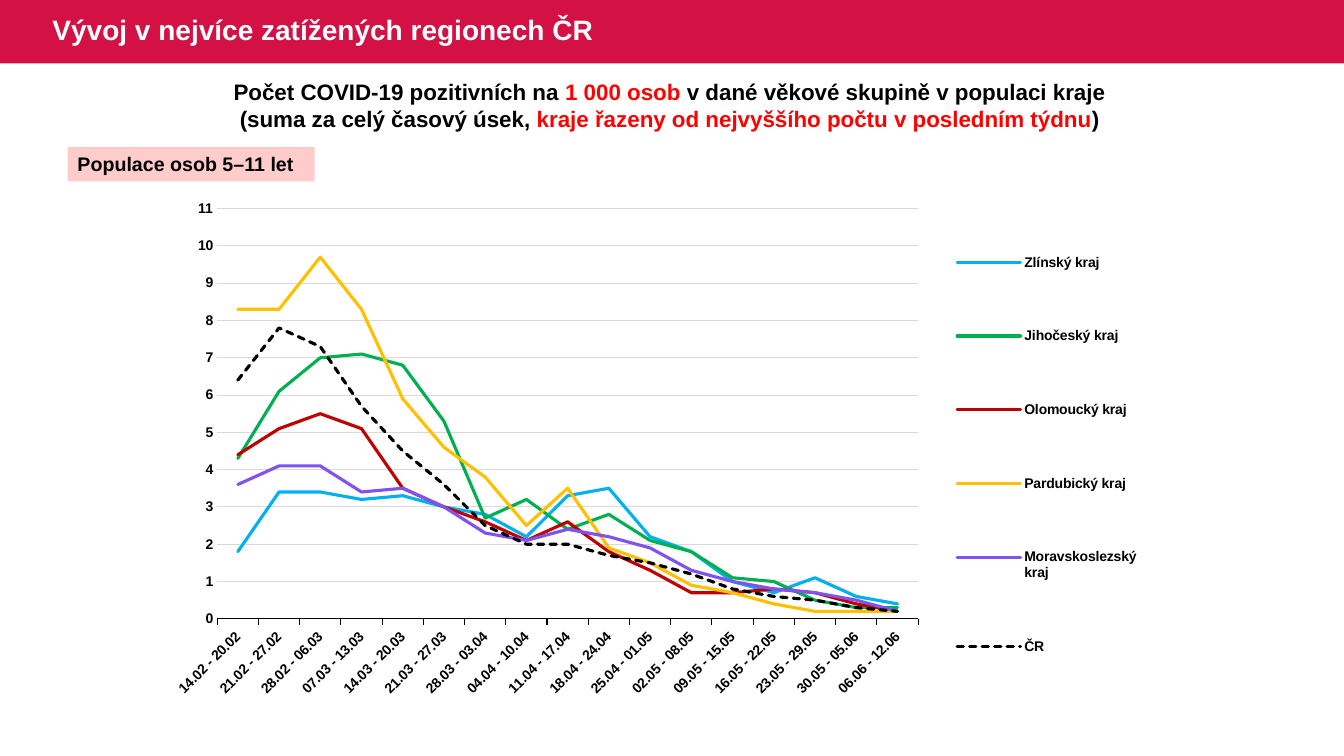
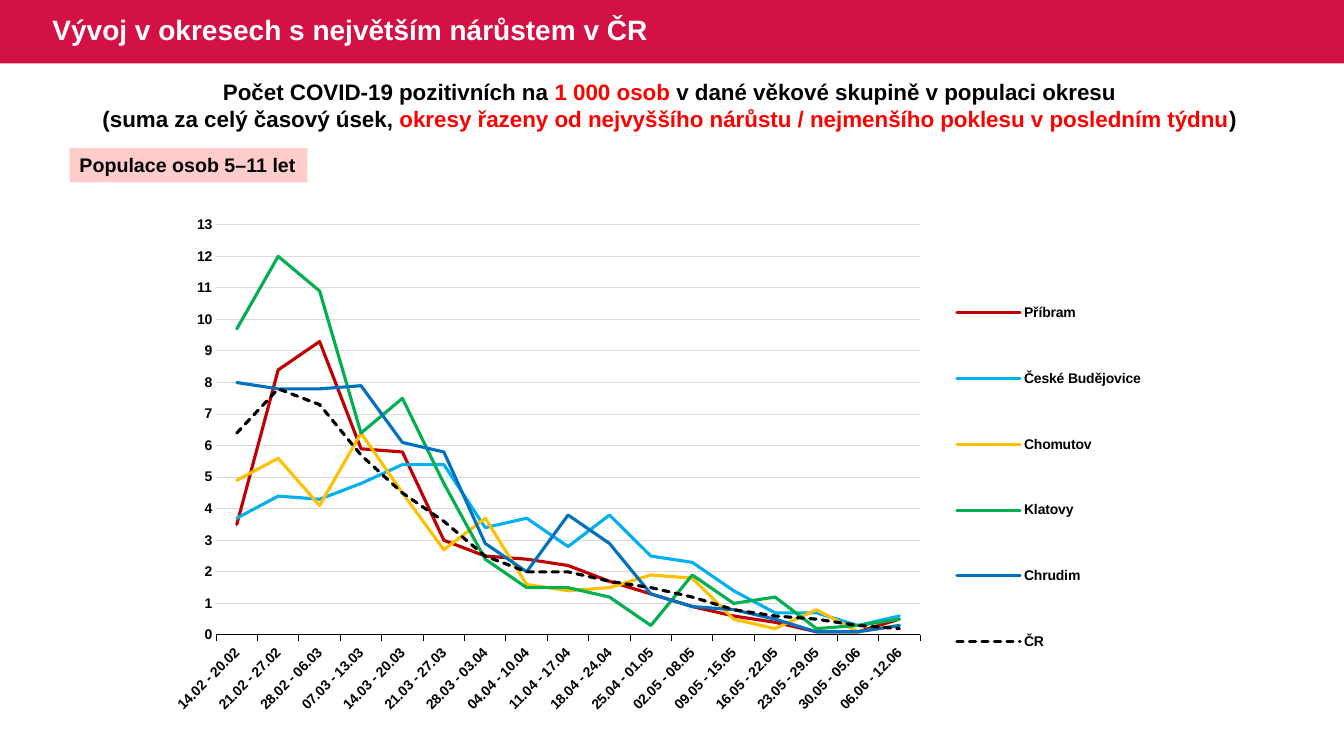
"""Builds two slides on COVID-19 cases per 1 000 people in the most affected areas."""
from dataclasses import dataclass

from lxml import etree
from pptx import Presentation
from pptx.chart.data import CategoryChartData
from pptx.dml.color import RGBColor
from pptx.enum.chart import XL_CHART_TYPE, XL_LEGEND_POSITION, XL_MARKER_STYLE, XL_TICK_MARK
from pptx.enum.dml import MSO_LINE
from pptx.enum.shapes import MSO_SHAPE
from pptx.enum.text import MSO_ANCHOR, PP_ALIGN
from pptx.oxml.ns import qn
from pptx.util import Inches, Pt

LINE_CHART = XL_CHART_TYPE.LINE
LEGEND_RIGHT = XL_LEGEND_POSITION.RIGHT
NO_MARKER = XL_MARKER_STYLE.NONE
TICK_OUT, TICK_NONE = XL_TICK_MARK.OUTSIDE, XL_TICK_MARK.NONE
SHORT_DASH = MSO_LINE.SQUARE_DOT
RECTANGLE = MSO_SHAPE.RECTANGLE
MIDDLE, TOP = MSO_ANCHOR.MIDDLE, MSO_ANCHOR.TOP
LEFT, CENTER = PP_ALIGN.LEFT, PP_ALIGN.CENTER


@dataclass(frozen=True)
class Theme:
    """Colours, font and type sizes of the deck."""
    font: str = "Arial"
    band: str = "D31145"
    white: str = "FFFFFF"
    black: str = "000000"
    accent: str = "FF0000"
    label: str = "FFCCCC"
    grid: str = "D9D9D9"
    sky: str = "00B0F0"
    green: str = "00B050"
    crimson: str = "C00000"
    amber: str = "FFC000"
    violet: str = "8053F0"
    blue: str = "0070C0"
    title_size: float = 20
    heading_size: float = 16
    label_size: float = 14
    chart_size: float = 10
    trend_width: float = 2.25
    axis_width: float = 0.75


THEME = Theme()


@dataclass(frozen=True)
class Box:
    """A rectangle in inches."""
    x: float
    y: float
    w: float
    h: float

    def lengths(self) -> tuple:
        """Return the four values as lengths."""
        return tuple(Inches(v) for v in (self.x, self.y, self.w, self.h))


@dataclass(frozen=True)
class Trend:
    """One line of a chart."""
    name: str
    color: str
    values: tuple
    dashed: bool = False


@dataclass(frozen=True)
class Page:
    """The content that differs between the slides; plot and legend are placed in the chart."""
    title: str
    area: str
    ordering: str
    label_box: Box
    chart_box: Box
    plot_box: Box
    legend_box: Box
    maximum: int
    trends: tuple


BAND_BOX = Box(0, 0, 13.33, 0.63)
TITLE_BOX = Box(0.42, 0, 12.33, 0.63)
HEADING_BOX = Box(0.23, 0.73, 12.82, 0.64)
AGE_GROUP = "Populace osob 5–11 let"
WEEKS = (
    "14.02 - 20.02", "21.02 - 27.02", "28.02 - 06.03", "07.03 - 13.03", "14.03 - 20.03",
    "21.03 - 27.03", "28.03 - 03.04", "04.04 - 10.04", "11.04 - 17.04", "18.04 - 24.04",
    "25.04 - 01.05", "02.05 - 08.05", "09.05 - 15.05", "16.05 - 22.05", "23.05 - 29.05",
    "30.05 - 05.06", "06.06 - 12.06",
)
COUNTRY = Trend("ČR", THEME.black, (
    6.4, 7.8, 7.3, 5.7, 4.5, 3.6, 2.5, 2, 2, 1.7, 1.5, 1.2, 0.8, 0.6, 0.5, 0.3, 0.2), True)

PAGES = (
    Page(
        "Vývoj v nejvíce zatížených regionech ČR", "kraje",
        "kraje řazeny od nejvyššího počtu v posledním týdnu",
        Box(0.67, 1.46, 2.45, 0.34), Box(1.74, 1.88, 9.67, 5.36),
        Box(0.39, 0.19, 6.97, 4.07), Box(7.65, 0.07, 1.98, 5.12), 11,
        (
            Trend("Zlínský kraj", THEME.sky, (
                1.8, 3.4, 3.4, 3.2, 3.3, 3, 2.8, 2.2, 3.3, 3.5, 2.2, 1.8, 1, 0.7, 1.1, 0.6, 0.4)),
            Trend("Jihočeský kraj", THEME.green, (
                4.3, 6.1, 7, 7.1, 6.8, 5.3, 2.7, 3.2, 2.4, 2.8, 2.1, 1.8, 1.1, 1, 0.5, 0.3, 0.3)),
            Trend("Olomoucký kraj", THEME.crimson, (
                4.4, 5.1, 5.5, 5.1, 3.5, 3, 2.6, 2.1, 2.6, 1.8, 1.3, 0.7, 0.7, 0.8, 0.7, 0.4, 0.2)),
            Trend("Pardubický kraj", THEME.amber, (
                8.3, 8.3, 9.7, 8.3, 5.9, 4.6, 3.8, 2.5, 3.5, 1.9, 1.5, 0.9, 0.7, 0.4, 0.2, 0.2, 0.2)),
            Trend("Moravskoslezský kraj", THEME.violet, (
                3.6, 4.1, 4.1, 3.4, 3.5, 3, 2.3, 2.1, 2.4, 2.2, 1.9, 1.3, 1, 0.8, 0.7, 0.5, 0.2)),
            COUNTRY,
        ),
    ),
    Page(
        "Vývoj v okresech s největším nárůstem v ČR", "okresu",
        "okresy řazeny od nejvyššího nárůstu / nejmenšího poklesu v posledním týdnu",
        Box(0.69, 1.47, 2.36, 0.34), Box(1.73, 2.04, 9.67, 5.36),
        Box(0.39, 0.19, 7, 4.07), Box(7.68, 0.49, 1.98, 4.41), 13,
        (
            Trend("Příbram", THEME.crimson, (
                3.5, 8.4, 9.3, 5.9, 5.8, 3, 2.5, 2.4, 2.2, 1.7, 1.3, 0.9, 0.6, 0.4, 0.1, 0.1, 0.5)),
            Trend("České Budějovice", THEME.sky, (
                3.7, 4.4, 4.3, 4.8, 5.4, 5.4, 3.4, 3.7, 2.8, 3.8, 2.5, 2.3, 1.4, 0.7, 0.7, 0.3, 0.6)),
            Trend("Chomutov", THEME.amber, (
                4.9, 5.6, 4.1, 6.4, 4.5, 2.7, 3.7, 1.6, 1.4, 1.5, 1.9, 1.8, 0.5, 0.2, 0.8, 0.1, 0.3)),
            Trend("Klatovy", THEME.green, (
                9.7, 12, 10.9, 6.4, 7.5, 4.8, 2.4, 1.5, 1.5, 1.2, 0.3, 1.9, 1, 1.2, 0.2, 0.3, 0.5)),
            Trend("Chrudim", THEME.blue, (
                8, 7.8, 7.8, 7.9, 6.1, 5.8, 2.9, 2, 3.8, 2.9, 1.3, 0.9, 0.8, 0.5, 0.1, 0.1, 0.3)),
            COUNTRY,
        ),
    ),
)


def rgb(color: str) -> RGBColor:
    """Turn a hex string into a colour."""
    return RGBColor.from_string(color)


def style_font(font, size: float, color: str) -> None:
    """Apply the deck's bold typeface."""
    font.name, font.size, font.bold = THEME.font, Pt(size), True
    font.color.rgb = rgb(color)


def write_text(frame, *lines, size: float, color: str = THEME.black, align=LEFT,
               anchor=TOP, spacing: float = 1.0) -> None:
    """Write lines, each a tuple of plain or (text, colour) pieces, into one paragraph."""
    frame.word_wrap = True
    frame.vertical_anchor = anchor
    paragraph = frame.paragraphs[0]
    paragraph.alignment, paragraph.line_spacing = align, spacing
    for number, line in enumerate(lines):
        if number:
            paragraph.add_line_break()
        for piece in line:
            text, tint = (piece, color) if isinstance(piece, str) else piece
            run = paragraph.add_run()
            run.text = text
            style_font(run.font, size, tint)


def add_block(slide, box: Box, color: str):
    """Add a flat filled rectangle."""
    block = slide.shapes.add_shape(RECTANGLE, *box.lengths())
    block.shadow.inherit = False
    block.fill.solid()
    block.fill.fore_color.rgb = rgb(color)
    block.line.fill.background()
    return block


def set_layout(parent, index: int, box: Box, chart_box: Box, inner: bool = False) -> None:
    """Fix the place of a chart part within its chart."""
    for old in parent.findall(qn("c:layout")):
        parent.remove(old)
    layout = etree.Element(qn("c:layout"))
    manual = etree.SubElement(layout, qn("c:manualLayout"))
    settings = [("layoutTarget", "inner")] if inner else []
    settings += [("xMode", "edge"), ("yMode", "edge")]
    settings += [("x", box.x / chart_box.w), ("y", box.y / chart_box.h)]
    settings += [("w", box.w / chart_box.w), ("h", box.h / chart_box.h)]
    for tag, value in settings:
        etree.SubElement(manual, qn(f"c:{tag}")).set("val", str(value))
    parent.insert(index, layout)


def add_trend_chart(slide, page: Page) -> None:
    """Add the weekly line chart with its legend."""
    data = CategoryChartData(number_format="0.0")
    data.categories = WEEKS
    for trend in page.trends:
        data.add_series(trend.name, trend.values)
    chart = slide.shapes.add_chart(LINE_CHART, *page.chart_box.lengths(), data).chart
    chart.has_title = False
    style_font(chart.font, THEME.chart_size, THEME.black)
    chart.plots[0].vary_by_categories = False

    for series, trend in zip(chart.plots[0].series, page.trends):
        series.smooth = False
        series.marker.style = NO_MARKER
        series.format.line.width = Pt(THEME.trend_width)
        series.format.line.color.rgb = rgb(trend.color)
        if trend.dashed:
            series.format.line.dash_style = SHORT_DASH
    for outline in chart.element.iterfind(f".//{qn('c:ser')}/{qn('c:spPr')}/{qn('a:ln')}"):
        outline.set("cap", "rnd")
        etree.SubElement(outline, qn("a:round"))

    weeks, counts = chart.category_axis, chart.value_axis
    for axis, tick in ((weeks, TICK_OUT), (counts, TICK_NONE)):
        axis.major_tick_mark, axis.minor_tick_mark = tick, TICK_NONE
        style_font(axis.tick_labels.font, THEME.chart_size, THEME.black)
    weeks.has_major_gridlines = False
    weeks.format.line.color.rgb = rgb(THEME.black)
    weeks.format.line.width = Pt(THEME.axis_width)
    chart.element.find(f".//{qn('c:catAx')}//{qn('a:bodyPr')}").set("rot", "-2700000")

    counts.minimum_scale, counts.maximum_scale, counts.major_unit = 0, page.maximum, 1
    counts.tick_labels.number_format = "0"
    counts.tick_labels.number_format_is_linked = False
    counts.format.line.fill.background()
    counts.has_major_gridlines = True
    counts.major_gridlines.format.line.color.rgb = rgb(THEME.grid)
    counts.major_gridlines.format.line.width = Pt(THEME.axis_width)

    chart.has_legend = True
    chart.legend.position = LEGEND_RIGHT
    chart.legend.include_in_layout = False
    style_font(chart.legend.font, THEME.chart_size, THEME.black)
    plot_area = chart.element.find(f".//{qn('c:plotArea')}")
    legend = chart.element.find(f".//{qn('c:legend')}")
    set_layout(plot_area, 0, page.plot_box, page.chart_box, inner=True)
    set_layout(legend, 1, page.legend_box, page.chart_box)


def add_page(deck, layout, page: Page):
    """Add one slide with title, heading, age label and chart."""
    slide = deck.slides.add_slide(layout)
    title = slide.shapes.title
    title.left, title.top, title.width, title.height = TITLE_BOX.lengths()
    write_text(title.text_frame, (page.title,), size=THEME.title_size, color=THEME.white,
               anchor=MIDDLE, spacing=0.9)

    heading = slide.shapes.add_textbox(*HEADING_BOX.lengths())
    write_text(
        heading.text_frame,
        ("Počet COVID-19 pozitivních na ", ("1 000 osob ", THEME.accent),
         f"v dané věkové skupině v populaci {page.area}"),
        ("(suma za celý časový úsek, ", (page.ordering, THEME.accent), ")"),
        size=THEME.heading_size, align=CENTER)

    age_label = add_block(slide, page.label_box, THEME.label)
    write_text(age_label.text_frame, (AGE_GROUP,), size=THEME.label_size)
    add_trend_chart(slide, page)
    return slide


def main() -> None:
    """Build and save the deck."""
    deck = Presentation()
    deck.slide_width, deck.slide_height = Inches(13.33), Inches(7.5)
    layout = deck.slide_layouts[5]
    slides = [add_page(deck, layout, page) for page in PAGES]
    band = add_block(slides[0], BAND_BOX, THEME.band)
    layout.shapes.element.insert(2, band.element)
    deck.save("out.pptx")


if __name__ == "__main__":
    main()
